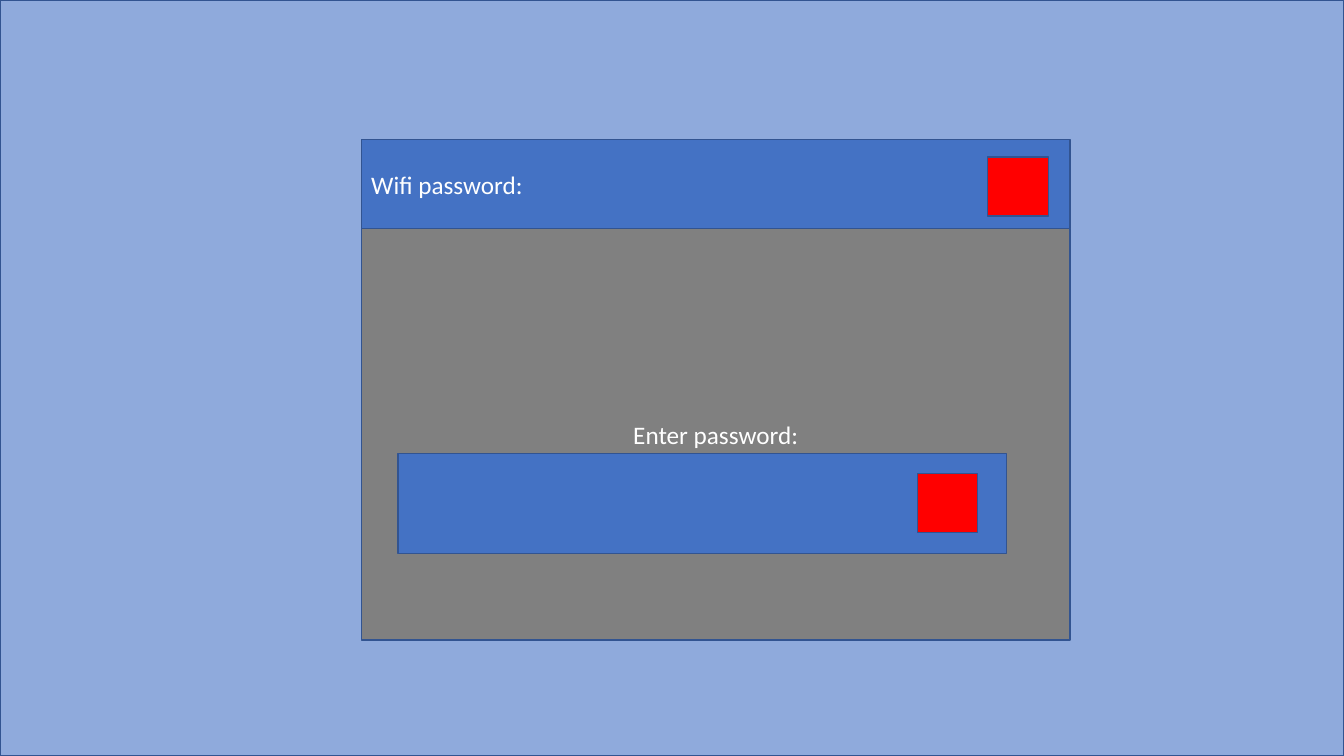
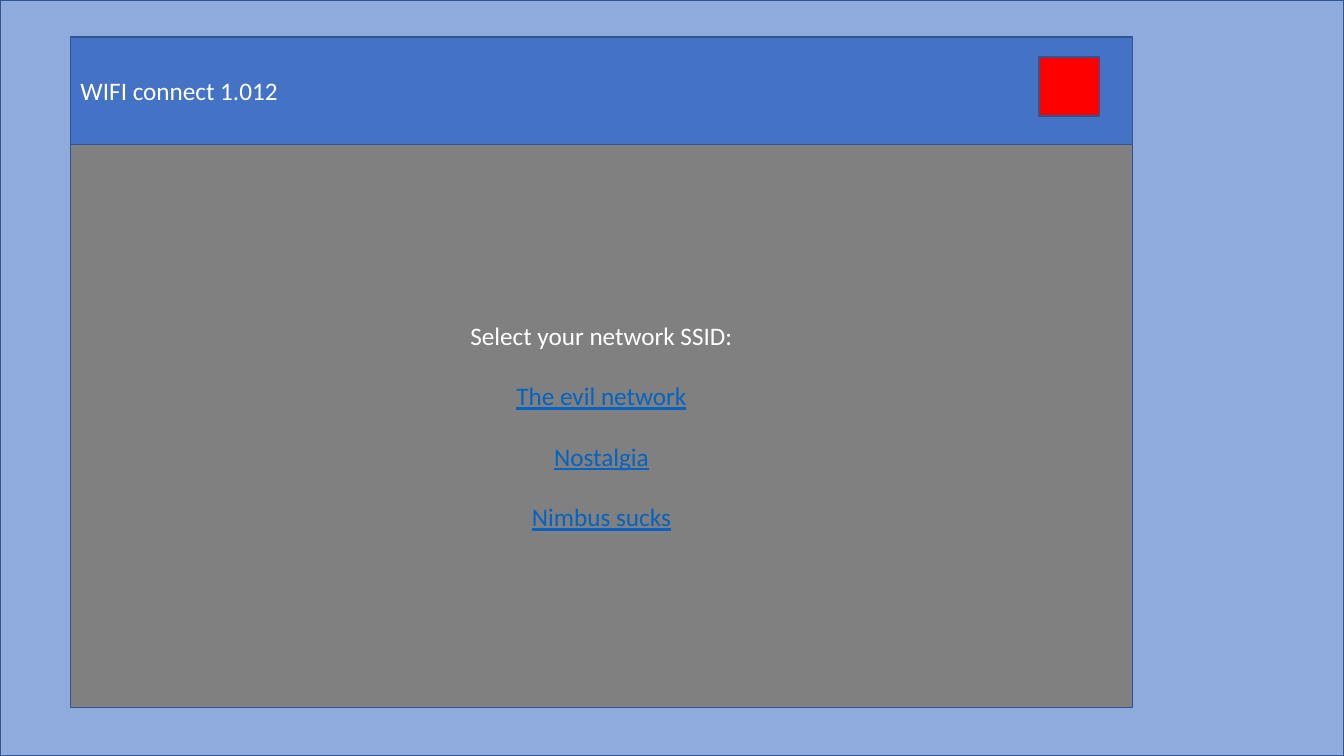
from dataclasses import dataclass
from typing import NamedTuple

from pptx import Presentation
from pptx.dml.color import RGBColor
from pptx.enum.shapes import MSO_SHAPE
from pptx.enum.text import MSO_ANCHOR, PP_ALIGN
from pptx.util import Emu, Pt

EMU_PER_PX = 7620


@dataclass(frozen=True)
class Theme:
    desktop: str = "8FAADC"
    panel: str = "808080"
    bar: str = "4472C4"
    button: str = "FF0000"
    outline: str = "325491"
    text: str = "FFFFFF"
    link: str = "0563C1"
    font: str = "Calibri"
    text_size: float = 18
    link_gap: float = 21.6
    outline_width: float = 1


class Box(NamedTuple):
    left: int
    top: int
    width: int
    height: int


THEME = Theme()
PAGE = Box(0, 0, 1600, 900)
BUTTON_WIDTH, BUTTON_HEIGHT = 72, 70


def px(length):
    return Emu(length * EMU_PER_PX)


def add_rectangle(page, box, fill):
    shape = page.shapes.add_shape(MSO_SHAPE.RECTANGLE, *map(px, box))
    shape.shadow.inherit = False
    shape.fill.solid()
    shape.fill.fore_color.rgb = RGBColor.from_string(fill)
    shape.line.color.rgb = RGBColor.from_string(THEME.outline)
    shape.line.width = Pt(THEME.outline_width)
    return shape


def write_lines(shape, lines, align):
    frame = shape.text_frame
    frame.word_wrap = True
    frame.vertical_anchor = MSO_ANCHOR.MIDDLE
    frame.text = "\n".join(lines)
    for index, para in enumerate(frame.paragraphs):
        is_link = index > 0
        para.alignment = align
        if is_link:
            para.space_before = Pt(THEME.link_gap)
        for span in para.runs:
            span.font.name = THEME.font
            span.font.size = Pt(THEME.text_size)
            span.font.underline = is_link
            span.font.color.rgb = RGBColor.from_string(THEME.link if is_link else THEME.text)


def add_button(page, bar, right_gap, top_gap):
    left = bar.left + bar.width - right_gap - BUTTON_WIDTH
    box = Box(left, bar.top + top_gap, BUTTON_WIDTH, BUTTON_HEIGHT)
    add_rectangle(page, box, THEME.button)


def add_window(page, box, bar_height, title, lines, button_gaps):
    panel = Box(box.left, box.top + bar_height, box.width, box.height - bar_height)
    bar = Box(box.left, box.top, box.width, bar_height)
    write_lines(add_rectangle(page, panel, THEME.panel), lines, PP_ALIGN.CENTER)
    write_lines(add_rectangle(page, bar, THEME.bar), [title], PP_ALIGN.LEFT)
    add_button(page, bar, *button_gaps)


def add_password_field(page, window):
    field = Box(window.left + 44, window.top + 374, 724, 119)
    add_rectangle(page, field, THEME.bar)
    add_button(page, field, 34, 24)


def add_desktop(deck):
    page = deck.slides.add_slide(deck.slide_layouts[6])
    add_rectangle(page, PAGE, THEME.desktop)
    return page


def add_password_page(deck):
    page = add_desktop(deck)
    window = Box(430, 166, 844, 596)
    add_window(page, window, 106, "Wifi password:", ["Enter password:"], (26, 21))
    add_password_field(page, window)


def add_network_page(deck):
    page = add_desktop(deck)
    lines = ["Select your network SSID:", "The evil network", "Nostalgia", "Nimbus sucks"]
    add_window(page, Box(84, 44, 1264, 798), 128, "WIFI connect 1.012", lines, (39, 24))


def main():
    deck = Presentation()
    deck.slide_width, deck.slide_height = px(PAGE.width), px(PAGE.height)
    add_password_page(deck)
    add_network_page(deck)
    deck.save("out.pptx")


if __name__ == "__main__":
    main()
